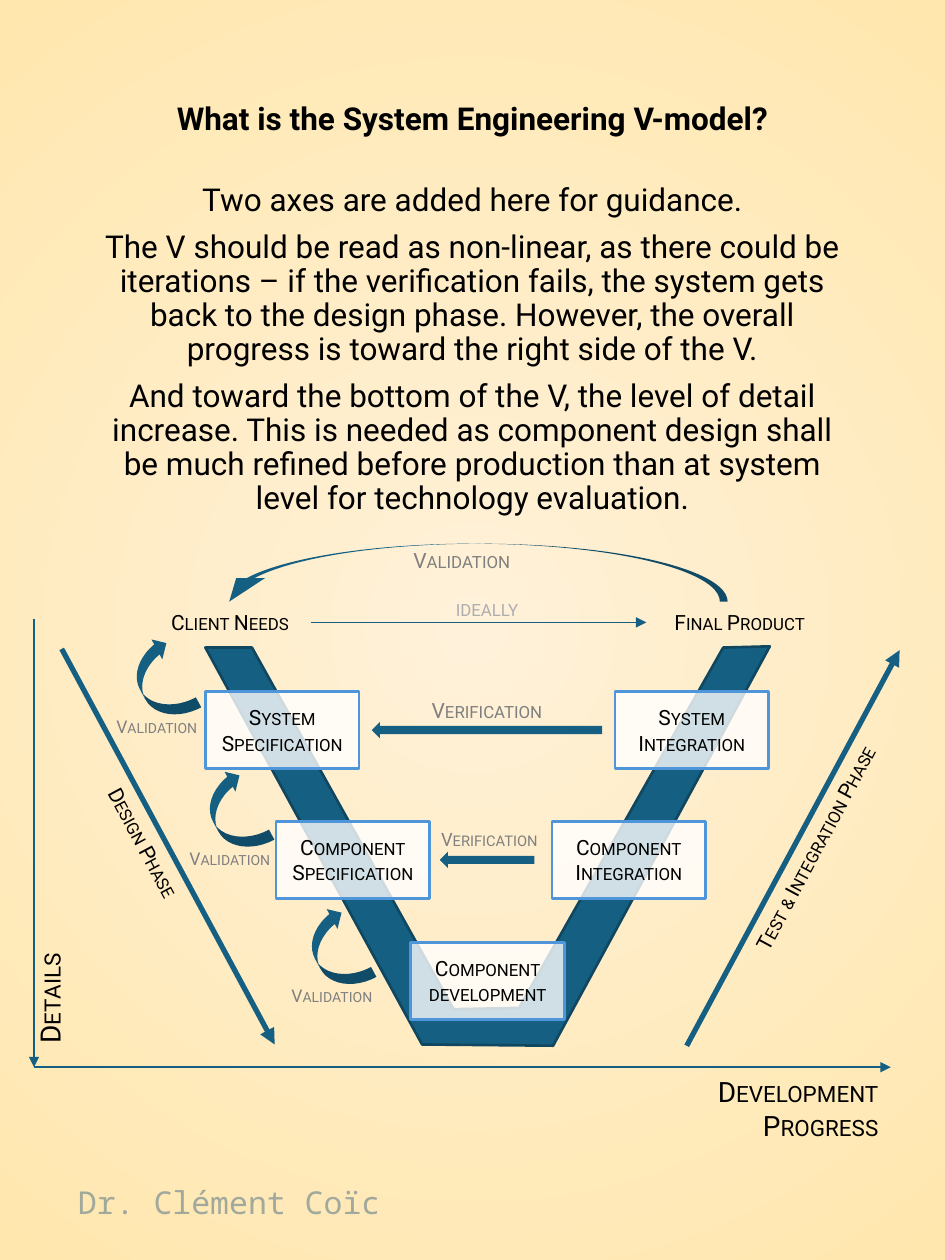
from lxml.etree import SubElement
from pptx import Presentation
from pptx.dml.color import RGBColor
from pptx.enum.shapes import MSO_CONNECTOR as Link, MSO_SHAPE as Shape
from pptx.enum.text import MSO_ANCHOR as Anchor, MSO_AUTO_SIZE as Auto, PP_ALIGN as Align
from pptx.oxml import parse_xml
from pptx.oxml.ns import nsdecls, qn
from pptx.util import Inches, Pt

WIDE, HIGH = 7.5, 10
COLS, ROWS = 75, 100
COLOR = {
    "ink": "000000", "blue": "156082", "edge": "104760", "frame": "4E95D9",
    "white": "FFFFFF", "gray": "808080", "pale": "AEAEAE", "sign": "A1A99D",
    "red": "C00000", "green": "00B050", "glow": "FFF1DA", "sand": "FFE7AD",
}
BODY = [
    "Two axes are added here for guidance.",
    "The V should be read as non-linear, as there could be iterations – if the "
    "verification fails, the system gets back to the design phase. However, the "
    "overall progress is toward the right side of the V.",
    "And toward the bottom of the V, the level of detail increase. This is needed "
    "as component design shall be much refined before production than at system "
    "level for technology evaluation.",
]


def col(n):
    return Inches(n * WIDE / COLS)


def row(n):
    return Inches(n * HIGH / ROWS)


def area(x, y, w, h):
    return col(x), row(y), col(w), row(h)


def rgb(name):
    return RGBColor.from_string(COLOR[name])


def paint(shape, fill, line=None, width=1.5):
    shape.shadow.inherit = False
    shape.fill.solid()
    shape.fill.fore_color.rgb = rgb(fill)
    if line:
        shape.line.color.rgb = rgb(line)
        shape.line.width = Pt(width)
    else:
        shape.line.fill.background()


def write(frame, *texts, size=12, color="ink", font="Roboto", bold=False, small=True,
          align=Align.CENTER, anchor=Anchor.TOP, lead=None, before=None, rim=None):
    """Fill a text frame, one paragraph for each text; rim outlines the letters."""
    frame.word_wrap = True
    frame.vertical_anchor = anchor
    for i, text in enumerate(texts):
        para = frame.add_paragraph() if i else frame.paragraphs[0]
        para.alignment = align
        if lead:
            para.line_spacing = lead
        if before and i:
            para.space_before = Pt(before)
        run = para.add_run()
        run.text = text
        face = run.font
        face.name, face.size, face.bold = font, Pt(size), bold
        face.color.rgb = rgb(color)
        props = run._r.get_or_add_rPr()
        if small:
            props.set("cap", "small")
        if rim:
            props.insert(0, parse_xml(
                f'<a:ln {nsdecls("a")} w="{Pt(0.75)}"><a:solidFill>'
                f'<a:srgbClr val="{COLOR[rim]}"/></a:solidFill></a:ln>'))


def label(slide, text, place, turn=0, upright=False, **style):
    box = slide.shapes.add_textbox(*area(*place))
    box.rotation = turn
    write(box.text_frame, text, **style)
    box.text_frame.auto_size = Auto.SHAPE_TO_FIT_TEXT
    if upright:
        box.text_frame._txBody.bodyPr.set("vert", "vert270")


def arrow(slide, start, end, width=1):
    line = slide.shapes.add_connector(
        Link.STRAIGHT, col(start[0]), row(start[1]), col(end[0]), row(end[1]))
    line.line.color.rgb = rgb("blue")
    line.line.width = Pt(width)
    props = line._element.spPr
    SubElement(props.find(qn("a:ln")), qn("a:tailEnd"), type="triangle")
    SubElement(props, qn("a:effectLst"))


def block(slide, text, x, y):
    box = slide.shapes.add_shape(Shape.RECTANGLE, *area(x, y, 12.2, 6.1))
    paint(box, "white", "frame")
    tint = box._element.spPr.find(qn("a:solidFill"))[0]
    SubElement(tint, qn("a:alpha"), val="80000")
    write(box.text_frame, text, anchor=Anchor.MIDDLE)


def bar(slide, x, y, w):
    paint(slide.shapes.add_shape(Shape.LEFT_ARROW, *area(x, y, w, 1.3)), "blue")


def curve(slide, place, turn=331.5, flips=("flipV",), adjust=()):
    hook = slide.shapes.add_shape(Shape.CURVED_RIGHT_ARROW, *area(*place))
    paint(hook, "blue")
    hook.rotation = turn
    for flip in flips:
        hook._element.spPr.xfrm.set(flip, "1")
    for i, part in enumerate(adjust):
        hook.adjustments[i] = part


def valid(slide, x, y, size=12):
    label(slide, "Validation", (x, y, 13.1, 3), size=size, color="gray", rim="green")


def vee(slide):
    spots = [(16.3, 51.4), (33.5, 82.9), (43.9, 83), (61.1, 51.3),
             (57.4, 51.4), (41.2, 80), (36, 80.1), (20, 51.4)]
    first, *rest = [(col(x), row(y)) for x, y in spots]
    pen = slide.shapes.build_freeform(*first)
    pen.add_line_segments(rest, close=True)
    paint(pen.convert_to_shape(), "blue", "edge")


def backdrop(slide):
    fill = slide.background.fill
    fill.gradient()
    for stop, name in zip(fill.gradient_stops, ("glow", "sand")):
        stop.color.rgb = rgb(name)
    grad = slide._element.cSld.bg.bgPr.find(qn("a:gradFill"))
    grad.remove(grad.find(qn("a:lin")))
    ring = SubElement(grad, qn("a:path"), path="circle")
    SubElement(ring, qn("a:fillToRect"), {side: "50000" for side in "ltrb"})


def story(slide):
    title = slide.shapes.title
    title.left, title.top, title.width, title.height = area(6.5, 7.7, 62, 4.5)
    write(title.text_frame, "What is the System Engineering V-model?",
          size=18, bold=True, small=False, lead=0.9)
    title.text_frame.auto_size = Auto.NONE
    body = slide.shapes.add_textbox(*area(6.5, 14.1, 62, 27.5))
    write(body.text_frame, *BODY, size=18, small=False, lead=0.9, before=7.5)


def main():
    deck = Presentation()
    deck.slide_width, deck.slide_height = Inches(WIDE), Inches(HIGH)
    slide = deck.slides.add_slide(deck.slide_layouts[5])
    backdrop(slide)
    label(slide, "Dr. Clément Coïc", (5.2, 93.4, 27.1, 4), size=18, color="sign",
          font="Noto Sans Mono", small=False, align=Align.LEFT)
    story(slide)
    vee(slide)

    corner = (2.7, 84.7)
    arrow(slide, (2.7, 49.1), corner)
    arrow(slide, corner, (70.7, 84.7))
    label(slide, "Details", (2.1, 72.8, 4.7, 11), upright=True, size=16, align=Align.LEFT)
    label(slide, "Development Progress", (53.5, 84.8, 17.2, 6.4), size=16, align=Align.RIGHT)

    for text, x, y in [
        ("System Specification", 16.3, 54.9), ("Component Specification", 21.9, 65.2),
        ("Component development", 32.6, 74.8), ("Component Integration", 43.8, 65.2),
        ("System Integration", 48.8, 54.9),
    ]:
        block(slide, text, x, y)

    label(slide, "Client Needs", (11.7, 47.9, 13.1, 3))
    label(slide, "Final Product", (51.3, 47.9, 14.8, 3))
    arrow(slide, (24.7, 49.4), (51.3, 49.4))
    label(slide, "ideally", (32.1, 46.8, 13.1, 3), color="pale")

    for x, y, w in [(29.5, 57.3, 18.3), (34.9, 67.6, 7.5)]:
        bar(slide, x, y, w)
    for x, y, size in [(32.1, 54.9, 12), (32.3, 65.2, 10.5)]:
        label(slide, "Verification", (x, y, 13.1, 3), size=size, color="gray", rim="red")

    arrow(slide, (4.9, 51.5), (21.8, 82.9), 3)
    arrow(slide, (54.5, 83), (71.4, 51.6), 3)
    label(slide, "Design Phase", (4.8, 65.4, 13.1, 3), turn=61.7)
    label(slide, "Test & Integration Phase", (46.8, 65.8, 35.8, 3), turn=298.2)

    # Each label sits just below its curved arrow, clear of it.
    for x, y in [(11, 50.7), (16.8, 61.2), (24.9, 72.1)]:
        curve(slide, (x, y, 3.6, 6.7))
        valid(slide, x - 5.1, y + 5.6, 10)
    curve(slide, (35.1, 25.1, 4.6, 40.7), 270, ("flipH", "flipV"), (0.134, 0.5, 0.407))
    valid(slide, 30.1, 43)
    deck.save("out.pptx")


if __name__ == "__main__":
    main()
